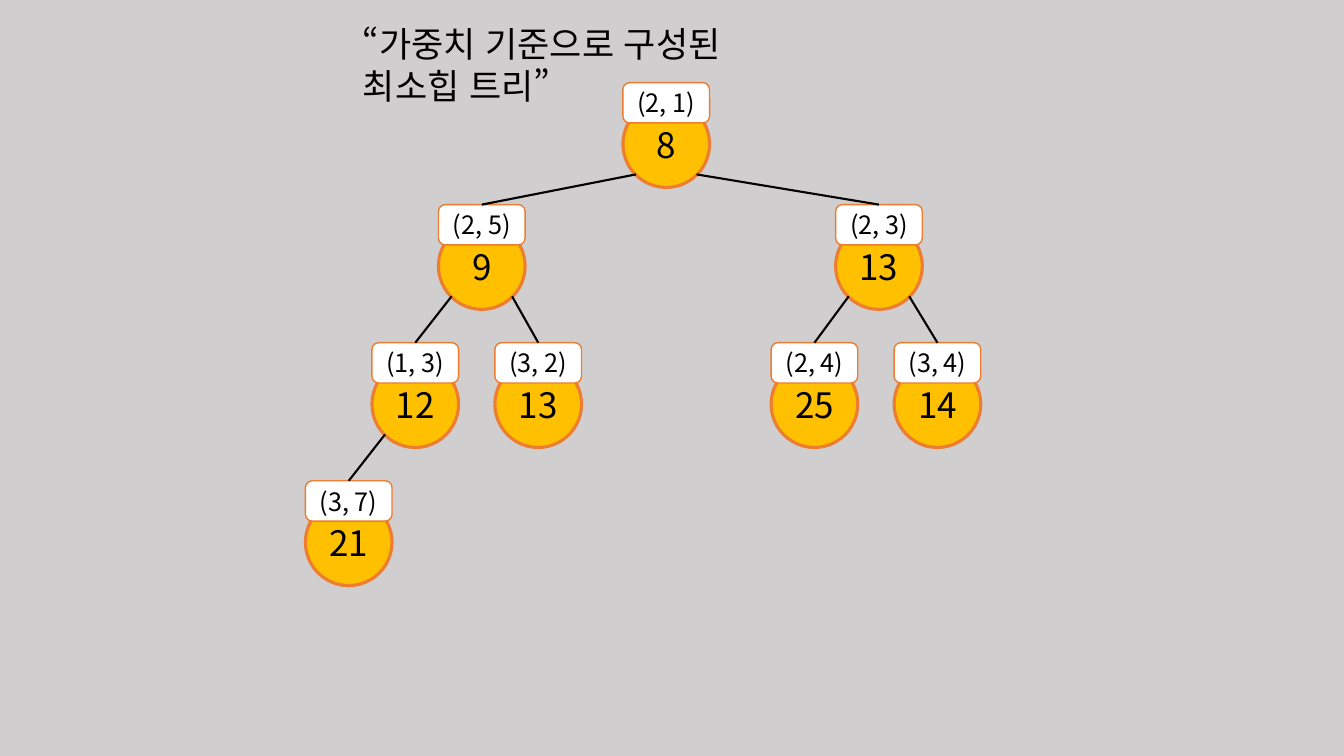
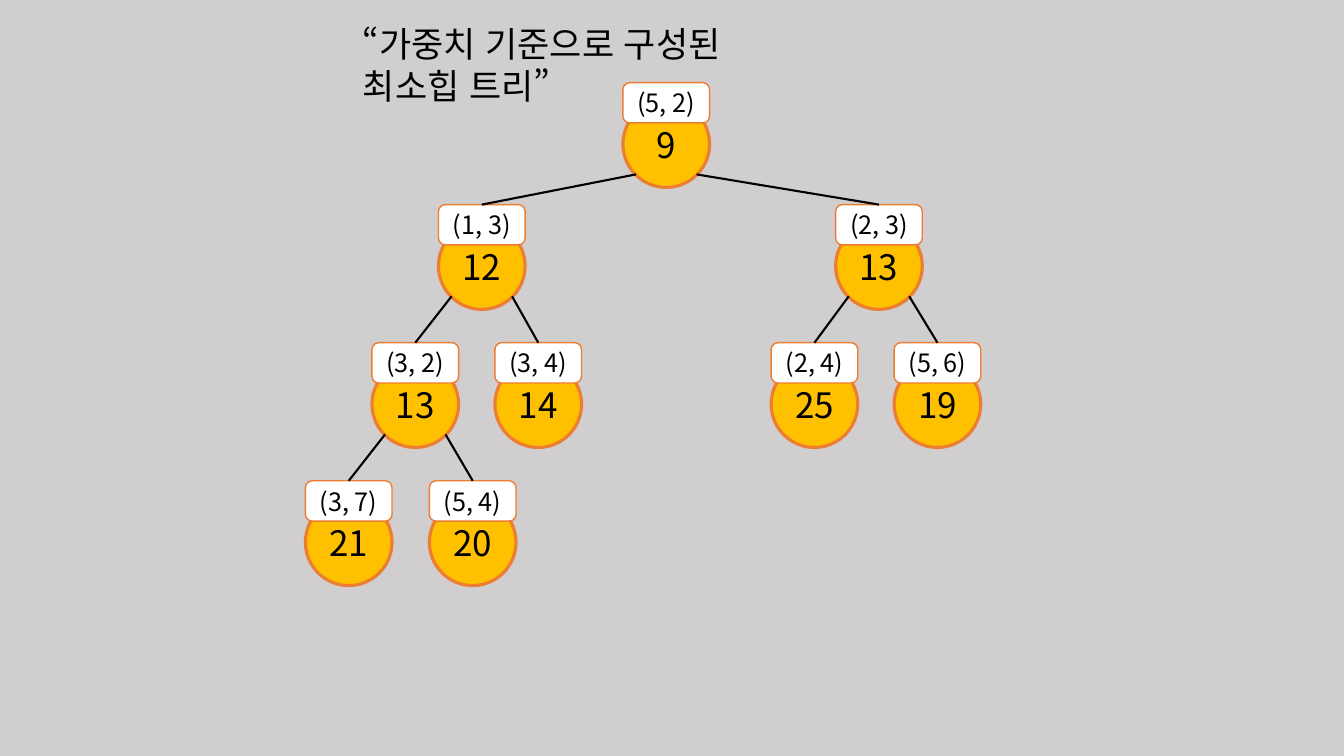
from pptx import Presentation
from pptx import util as u
from pptx.dml.color import RGBColor
from pptx.enum import lang, shapes, text
from pptx.oxml import ns
from lxml import etree

PX = 9144
FONT = "Noto Sans CJK KR"
BACKGROUND, AMBER, ORANGE, WHITE, BLACK = "D0CECE", "FFC000", "ED7D31", "FFFFFF", "000000"
TITLE = "“가중치 기준으로 구성된 최소힙 트리”"
NODE_WIDTH, LABEL_HEIGHT, CIRCLE_OFFSET, EDGE_OFFSET = 86, 40, 18, 30
LEVEL_TOPS = [82, 203, 340, 477]
NODE_CENTERS = [661, 478, 872, 412, 534, 808, 930, 346, 469]
HEAPS = [
    [("8", "(2, 1)"), ("9", "(2, 5)"), ("13", "(2, 3)"), ("12", "(1, 3)"),
     ("13", "(3, 2)"), ("25", "(2, 4)"), ("14", "(3, 4)"), ("21", "(3, 7)")],
    [("9", "(5, 2)"), ("12", "(1, 3)"), ("13", "(2, 3)"), ("13", "(3, 2)"),
     ("14", "(3, 4)"), ("25", "(2, 4)"), ("19", "(5, 6)"), ("21", "(3, 7)"),
     ("20", "(5, 4)")],
]


def color(value):
    return RGBColor.from_string(value)


def write(shape, content, size, alignment, anchor):
    frame = shape.text_frame
    frame.text = content
    frame.word_wrap = True
    frame.vertical_anchor = anchor
    paragraph = frame.paragraphs[0]
    paragraph.alignment = alignment
    font = paragraph.runs[0].font
    font.name = FONT
    font.size = u.Pt(size)
    font.color.rgb = color(BLACK)
    font.language_id = lang.MSO_LANGUAGE_ID.KOREAN
    properties = paragraph.runs[0]._r.get_or_add_rPr()
    etree.SubElement(properties, ns.qn("a:ea"), typeface=FONT)


presentation = Presentation()
presentation.slide_width = u.Inches(13.333)
presentation.slide_height = u.Inches(7.5)
master_fill = presentation.slide_master.background.fill
master_fill.solid()
master_fill.fore_color.rgb = color(BACKGROUND)

for heap in HEAPS:
    slide = presentation.slides.add_slide(presentation.slide_layouts[5])
    title = slide.shapes.title
    title.left, title.top, title.width, title.height = 350 * PX, 17 * PX, 476 * PX, 93 * PX
    write(title, TITLE, 25, text.PP_ALIGN.LEFT, text.MSO_ANCHOR.TOP)
    title.text_frame.auto_size = text.MSO_AUTO_SIZE.NONE
    title.text_frame.paragraphs[0].line_spacing = u.Pt(30)

    for index, (value, weight) in enumerate(heap):
        center = NODE_CENTERS[index]
        level = (index + 1).bit_length() - 1
        top = LEVEL_TOPS[level]
        left = center - NODE_WIDTH // 2
        node = slide.shapes.add_group_shape()
        parts = [
            (shapes.MSO_SHAPE.OVAL, top + CIRCLE_OFFSET, NODE_WIDTH, AMBER, 2.25, value, 25),
            (shapes.MSO_SHAPE.ROUNDED_RECTANGLE, top, LABEL_HEIGHT, WHITE, 1, weight, 18),
        ]
        for kind, part_top, height, fill, line_width, content, size in parts:
            shape = node.shapes.add_shape(
                kind, left * PX, part_top * PX, NODE_WIDTH * PX, height * PX)
            shape.shadow.inherit = False
            shape.fill.solid()
            shape.fill.fore_color.rgb = color(fill)
            shape.line.color.rgb = color(ORANGE)
            shape.line.width = u.Pt(line_width)
            write(shape, content, size, text.PP_ALIGN.CENTER, text.MSO_ANCHOR.MIDDLE)
        label = shape

        if index > 0:
            side = -1 if index % 2 else 1
            start_x = NODE_CENTERS[(index - 1) // 2] + side * EDGE_OFFSET
            start_y = LEVEL_TOPS[level - 1] + CIRCLE_OFFSET + NODE_WIDTH // 2 + EDGE_OFFSET
            edge = slide.shapes.add_connector(
                shapes.MSO_CONNECTOR.STRAIGHT,
                start_x * PX, start_y * PX, center * PX, top * PX)
            edge.end_connect(label, 0)
            edge.line.color.rgb = color(BLACK)
            edge.line.width = u.Pt(1.5)
            etree.SubElement(edge._element.spPr, ns.qn("a:effectLst"))

presentation.save("out.pptx")
